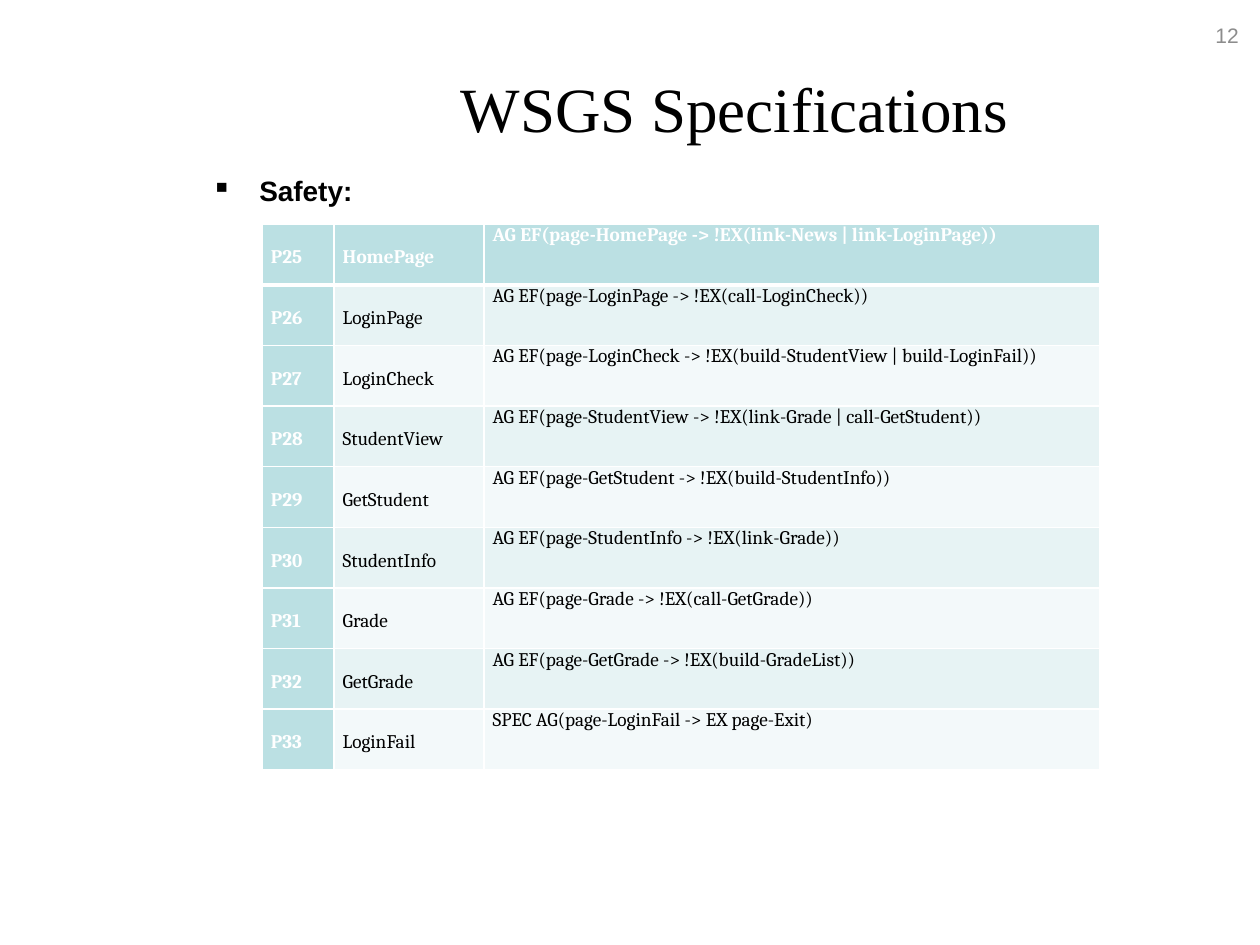
"""Build the WSGS safety specifications slide."""
from dataclasses import dataclass

from lxml import etree
from pptx import Presentation, util as u
from pptx.dml.color import RGBColor
from pptx.enum import text
from pptx.oxml import ns

WIDTH, HEIGHT = u.Inches(10), u.Inches(7.5)
BLACK = RGBColor(0x00, 0x00, 0x00)
WHITE = RGBColor(0xFF, 0xFF, 0xFF)
GRAY = RGBColor(0x8C, 0x8C, 0x8C)
TEAL = RGBColor(0xBB, 0xE0, 0xE3)
BANDS = (RGBColor(0xF3, 0xF9, 0xFA), RGBColor(0xE7, 0xF3, 0xF4))
COLUMNS = (0.57, 1.19, 4.89)
TABLE_HEIGHT = 4.33
FIRST_NUMBER = 25


@dataclass(frozen=True)
class Area:
    left: float
    top: float
    width: float
    height: float

    def lengths(self) -> tuple:
        return tuple(u.Inches(n) for n in (self.left, self.top, self.width, self.height))


@dataclass(frozen=True)
class Style:
    font: str
    size: float
    color: RGBColor
    bold: bool = False


@dataclass(frozen=True)
class Rule:
    page: str
    formula: str


RULES = (
    Rule("HomePage", "AG EF(page-HomePage -> !EX(link-News | link-LoginPage))"),
    Rule("LoginPage", "AG EF(page-LoginPage -> !EX(call-LoginCheck))"),
    Rule("LoginCheck", "AG EF(page-LoginCheck -> !EX(build-StudentView | build-LoginFail))"),
    Rule("StudentView", "AG EF(page-StudentView -> !EX(link-Grade | call-GetStudent))"),
    Rule("GetStudent", "AG EF(page-GetStudent -> !EX(build-StudentInfo))"),
    Rule("StudentInfo", "AG EF(page-StudentInfo -> !EX(link-Grade))"),
    Rule("Grade", "AG EF(page-Grade -> !EX(call-GetGrade))"),
    Rule("GetGrade", "AG EF(page-GetGrade -> !EX(build-GradeList))"),
    Rule("LoginFail", "SPEC AG(page-LoginFail -> EX page-Exit)"),
)


def write(frame, words: str, style: Style, align=text.PP_ALIGN.LEFT):
    """Write one styled paragraph and return it."""
    frame.word_wrap = True
    para = frame.paragraphs[0]
    para.text = words
    para.alignment = align
    para.font.name, para.font.size = style.font, u.Pt(style.size)
    para.font.bold, para.font.color.rgb = style.bold, style.color
    return para


def add_text(page, area: Area, words: str, style: Style, align=text.PP_ALIGN.LEFT):
    """Add a text box and return its paragraph."""
    box = page.shapes.add_textbox(*area.lengths())
    return write(box.text_frame, words, style, align)


def add_bullet(para, mark: str, indent: float) -> None:
    """Give a paragraph a hanging bullet."""
    props = para._p.get_or_add_pPr()
    props.set("marL", str(u.Inches(indent)))
    props.set("indent", str(-u.Inches(indent)))
    bullet = etree.Element(ns.qn("a:buChar"), char=mark)
    defaults = props.find(ns.qn("a:defRPr"))
    defaults.addprevious(bullet)


def add_borders(cell, bottom: float) -> None:
    """Draw white borders, one point wide except at the bottom."""
    props = cell._tc.get_or_add_tcPr()
    for side, width in zip("LRTB", (1, 1, 1, bottom)):
        line = etree.SubElement(props, ns.qn(f"a:ln{side}"), w=str(u.Pt(width)))
        fill = etree.SubElement(line, ns.qn("a:solidFill"))
        etree.SubElement(fill, ns.qn("a:srgbClr"), val=str(WHITE))


def fill_cell(cell, words: str, row: int, column: int) -> None:
    """Format one cell by its place in the grid."""
    strong = row == 0 or column == 0
    formula = column == len(COLUMNS) - 1
    cell.margin_left = cell.margin_right = u.Inches(0.07)
    cell.margin_top = cell.margin_bottom = 0
    style = Style("Cambria", 11, WHITE if strong else BLACK, strong)
    align = text.PP_ALIGN.LEFT if formula else text.PP_ALIGN.JUSTIFY
    para = write(cell.text_frame, words, style, align)
    if not formula:
        para.line_spacing = 2.0
    add_borders(cell, 3 if row == 0 else 1)
    cell.fill.solid()
    cell.fill.fore_color.rgb = TEAL if strong else BANDS[row % 2]


def add_rules(page) -> None:
    """Add the table of specifications."""
    area = Area(2.08, 1.78, sum(COLUMNS), TABLE_HEIGHT)
    table = page.shapes.add_table(len(RULES), len(COLUMNS), *area.lengths()).table
    table.first_col = True
    for column, width in zip(table.columns, COLUMNS):
        column.width = u.Inches(width)
    for row, rule in enumerate(RULES):
        table.rows[row].height = u.Inches(TABLE_HEIGHT / len(RULES))
        for column, words in enumerate((f"P{FIRST_NUMBER + row}", rule.page, rule.formula)):
            fill_cell(table.cell(row, column), words, row, column)


def main() -> None:
    """Build and save the deck."""
    deck = Presentation()
    deck.slide_width, deck.slide_height = WIDTH, HEIGHT
    page = deck.slides.add_slide(deck.slide_layouts[5])

    title = page.shapes.title
    title.left, title.top, title.width, title.height = Area(1.58, 0.5, 8.5, 1.25).lengths()
    title.text_frame.vertical_anchor = text.MSO_ANCHOR.TOP
    write(title.text_frame, "WSGS Specifications",
          Style("Times New Roman", 36, BLACK), text.PP_ALIGN.CENTER)

    add_text(page, Area(9.49, 0.13, 0.44, 0.29), "12",
             Style("Arial", 12, GRAY), text.PP_ALIGN.RIGHT)
    heading = add_text(page, Area(1.58, 1.33, 8.5, 5.92), "Safety:",
                       Style("Arial", 16, BLACK, True))
    heading.space_before = u.Pt(3.2)
    add_bullet(heading, "▪", 0.38)
    add_rules(page)
    deck.save("out.pptx")


if __name__ == "__main__":
    main()
